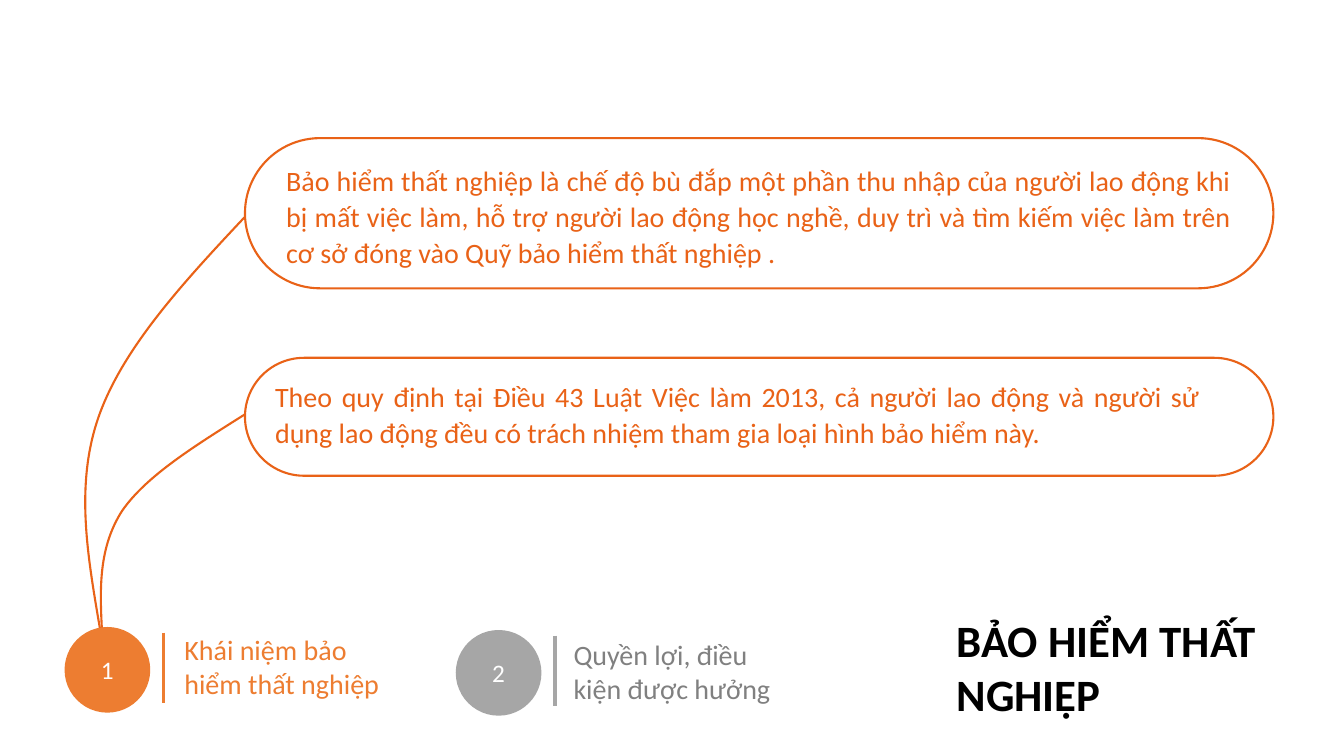
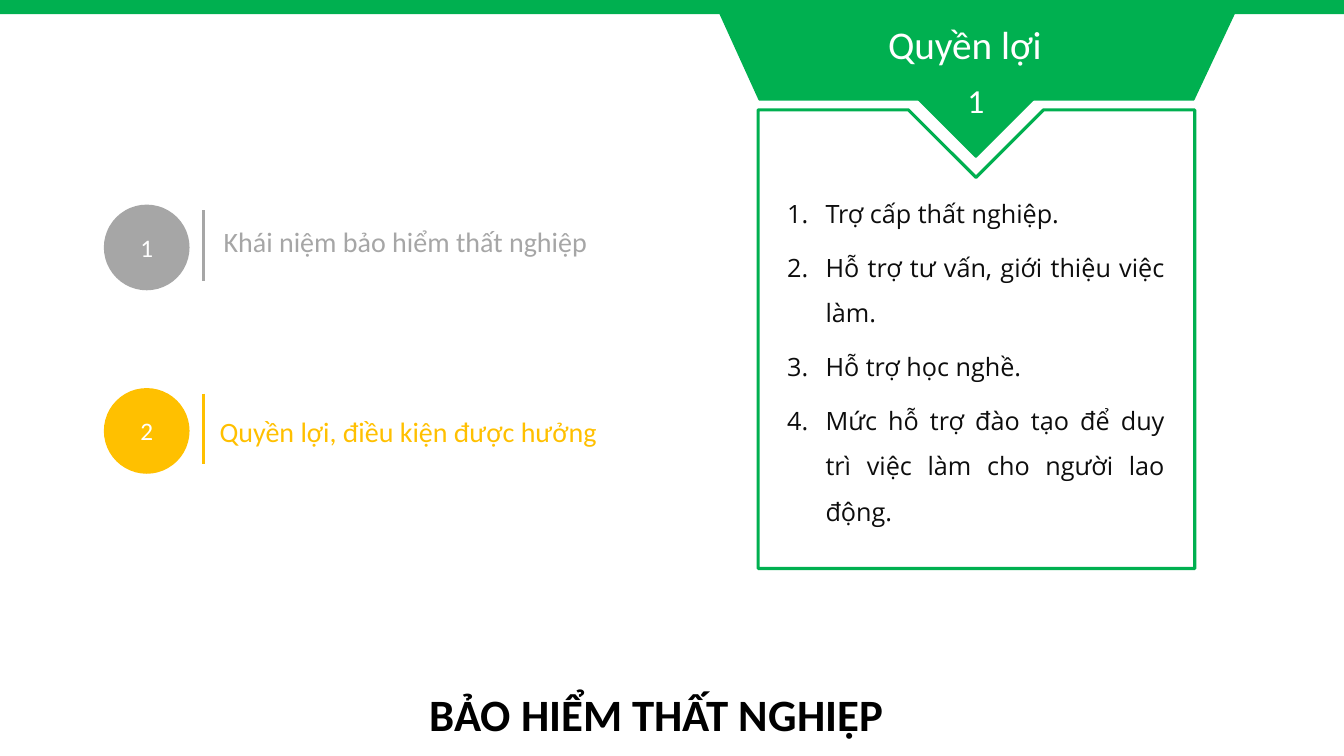
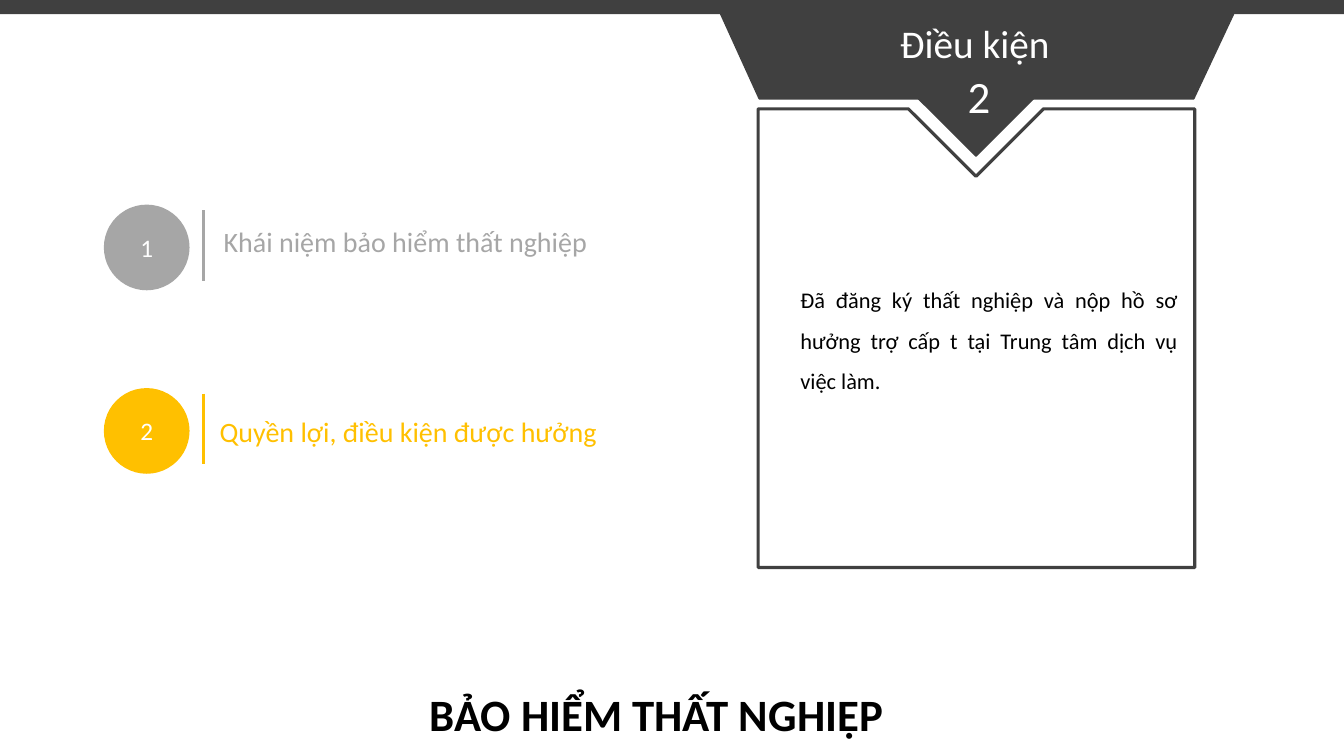
from pptx import Presentation
from pptx.dml.color import RGBColor
from pptx.enum.shapes import MSO_CONNECTOR, MSO_SHAPE
from pptx.enum.text import MSO_ANCHOR, MSO_AUTO_SIZE, PP_ALIGN
from pptx.oxml.ns import qn
from pptx.util import Inches, Pt
from lxml.etree import SubElement

WHITE = RGBColor(0xFF, 0xFF, 0xFF)
BLACK = RGBColor(0x00, 0x00, 0x00)
INK = RGBColor(0x0D, 0x0D, 0x0D)
GREY = RGBColor(0xA6, 0xA6, 0xA6)
LABEL_GREY = RGBColor(0x80, 0x80, 0x80)
CHARCOAL = RGBColor(0x40, 0x40, 0x40)
ORANGE = RGBColor(0xED, 0x7D, 0x31)
DEEP_ORANGE = RGBColor(0xE9, 0x62, 0x17)
GOLD = RGBColor(0xFF, 0xC0, 0x00)
GREEN = RGBColor(0x00, 0xB0, 0x50)

FONT = "Calibri"
LIST_FONT = "Open Sans"
SLIDE_WIDTH, SLIDE_HEIGHT = 13.33, 7.5
TOPIC = "BẢO HIỂM THẤT NGHIỆP"
CONCEPT = "Khái niệm bảo hiểm thất nghiệp"
BENEFITS = "Quyền lợi, điều kiện được hưởng"


def write(frame, text, size=20, color=BLACK, font=FONT, bold=False, align=PP_ALIGN.LEFT,
          spacing=None, after=None, numbered=False):
    """Fill a text frame, one paragraph for each line of the text."""
    frame.word_wrap = True
    for index, line in enumerate(text.split("\n")):
        paragraph = frame.add_paragraph() if index else frame.paragraphs[0]
        paragraph.alignment = align
        if spacing:
            paragraph.line_spacing = spacing
        if after:
            paragraph.space_after = Pt(after)
        if numbered:
            props = paragraph._p.get_or_add_pPr()
            props.set("marL", str(Inches(0.38)))
            props.set("indent", str(-Inches(0.38)))
            SubElement(props, qn("a:buFont"), typeface="+mj-lt")
            SubElement(props, qn("a:buAutoNum"), type="arabicPeriod")
        run = paragraph.add_run()
        run.text = line
        run.font.name = font
        run.font.size = Pt(size)
        run.font.bold = bold
        run.font.color.rgb = color


class Deck:
    """Holds the presentation, its shared style and the current slide."""

    def __init__(self):
        """Start an empty presentation."""
        self.show = Presentation()
        self.show.slide_width = Inches(SLIDE_WIDTH)
        self.show.slide_height = Inches(SLIDE_HEIGHT)

    def new_slide(self):
        """Add a blank slide and make it current."""
        self.shapes = self.show.slides.add_slide(self.show.slide_layouts[6]).shapes

    def paint(self, shape, fill, line, width):
        """Set fill and outline, without a shadow."""
        shape.shadow.inherit = False
        if fill is None:
            shape.fill.background()
        else:
            shape.fill.solid()
            shape.fill.fore_color.rgb = fill
        if line is None:
            shape.line.fill.background()
        else:
            shape.line.color.rgb = line
            shape.line.width = Pt(width)

    def text(self, box, text, **style):
        """Add a text box that grows with its text."""
        frame = self.shapes.add_textbox(*map(Inches, box)).text_frame
        write(frame, text, **style)
        frame.auto_size = MSO_AUTO_SIZE.SHAPE_TO_FIT_TEXT

    def shape(self, kind, box, fill, line=None, width=1, text="", **style):
        """Add a preset shape, with centred text if there is any."""
        shape = self.shapes.add_shape(kind, *map(Inches, box))
        self.paint(shape, fill, line, width)
        if text:
            shape.text_frame.vertical_anchor = MSO_ANCHOR.MIDDLE
            write(shape.text_frame, text, color=WHITE, align=PP_ALIGN.CENTER, **style)
        return shape

    def outline(self, points, fill=None, line=None, width=1, close=True):
        """Add a freeform through the points."""
        start, *rest = [(Inches(x), Inches(y)) for x, y in points]
        builder = self.shapes.build_freeform(*start)
        builder.add_line_segments(rest, close=close)
        freeform = builder.convert_to_shape()
        self.paint(freeform, fill, line, width)
        return freeform

    def curve(self, points):
        """Add a curve: a start, then two controls and an end for each stretch."""
        curve = self.outline(points, line=DEEP_ORANGE, width=1.5, close=False)
        segments = curve._element.xpath(".//a:lnTo")
        for first in range(0, len(segments), 3):
            bend, *others = segments[first:first + 3]
            bezier = SubElement(bend.getparent(), qn("a:cubicBezTo"))
            for segment in (bend, *others):
                bezier.append(segment[0])
                segment.getparent().remove(segment)

    def rule(self, x, top, color):
        """Add a short upright line."""
        rule = self.shapes.add_connector(MSO_CONNECTOR.STRAIGHT, *map(Inches, (x, top, x, top + 0.7)))
        rule.line.color.rgb = color
        rule.line.width = Pt(2.25)
        SubElement(rule._element.spPr, qn("a:effectLst"))

    def step(self, number, left, top, color, label, label_box, label_color=None):
        """Add a numbered circle, its rule and its label."""
        self.shape(MSO_SHAPE.OVAL, (left, top, 0.85, 0.85), color, text=number, size=18)
        self.rule(left + 0.985, top + 0.055, color)
        self.text(label_box, label, color=label_color or color)

    def title(self, box):
        """Add the topic title."""
        self.text(box, TOPIC, size=32, bold=True)

    def statement(self, box, text_box, text):
        """Add a rounded frame and its justified text."""
        frame = self.shape(MSO_SHAPE.ROUNDED_RECTANGLE, box, WHITE, DEEP_ORANGE, 1.5)
        frame.adjustments[0] = 0.5
        self.text(text_box, text, color=DEEP_ORANGE, align=PP_ALIGN.JUSTIFY, spacing=1.07, after=8)

    def detail_slide(self, heading, heading_box, number, number_size, color, top=0.0):
        """Add a slide with both steps, the title and a ribboned panel."""
        self.new_slide()
        ribbon = [(7.53, top + 0.99), (7.08, top), (12.3, top + 0.01), (11.84, top + 0.99)]
        self.outline(ribbon, color, color)
        self.shape(MSO_SHAPE.DIAMOND, (9.11, top + 0.42, 1.14, 1.14), color, color,
                   text=number, size=number_size)
        edge, bottom = top + 1.09, top + 5.64
        self.outline([(7.52, edge), (9.01, edge), (9.68, edge + 0.67), (10.35, edge),
                      (11.85, edge), (11.85, bottom), (7.52, bottom)], line=color, width=2.25)
        self.step("1", 1.03, 2.03, GREY, CONCEPT, (2.12, 2.18, 4.1, 0.44))
        self.step("2", 1.03, 3.85, GOLD, BENEFITS, (2.08, 4.06, 4.47, 0.44))
        self.title((4.16, 6.76, 5.01, 0.64))
        self.text(heading_box, heading, size=28, color=WHITE)
        self.shape(MSO_SHAPE.RECTANGLE, (0, 0, SLIDE_WIDTH, 0.14), color)


def concept_slide(deck):
    """Build the slide that defines the insurance."""
    deck.new_slide()
    deck.curve([(0.99, 6.23), (0.87, 5.52), (0.74, 4.81), (0.98, 4.13),
                (1.22, 3.45), (1.82, 2.8), (2.43, 2.15)])
    deck.curve([(1.01, 6.23), (0.99, 5.83), (0.98, 5.43), (1.21, 5.07),
                (1.45, 4.72), (1.94, 4.42), (2.43, 4.11)])
    deck.statement((2.43, 1.37, 10.2, 1.49), (2.74, 1.55, 9.57, 1.17),
                   "Bảo hiểm thất nghiệp là chế độ bù đắp một phần thu nhập của người lao động "
                   "khi bị mất việc làm, hỗ trợ người lao động học nghề, duy trì và tìm kiếm "
                   "việc làm trên cơ sở đóng vào Quỹ bảo hiểm thất nghiệp .")
    deck.statement((2.43, 3.55, 10.2, 1.17), (2.63, 3.69, 9.37, 0.81),
                   "Theo quy định tại Điều 43 Luật Việc làm 2013, cả người lao động và người sử "
                   "dụng lao động đều có trách nhiệm tham gia loại hình bảo hiểm này.")
    deck.step("1", 0.64, 6.22, ORANGE, CONCEPT, (1.73, 6.23, 2.42, 0.77))
    deck.step("2", 4.52, 6.25, GREY, BENEFITS, (5.59, 6.28, 2.43, 0.77), LABEL_GREY)
    deck.title((9.39, 6.03, 3.23, 1.18))


def benefits_slide(deck):
    """Build the slide that lists the benefits."""
    deck.detail_slide("Quyền lợi", (8.71, 0.15, 2.32, 0.57), "1", 24, GREEN)
    benefits = ["Trợ cấp thất nghiệp.", "Hỗ trợ tư vấn, giới thiệu việc làm.", "Hỗ trợ học nghề.",
                "Mức hỗ trợ đào tạo để duy trì việc làm cho người lao động."]
    deck.text((7.71, 1.77, 3.94, 3.49), "\n".join(benefits), size=18, color=INK, font=LIST_FONT,
              align=PP_ALIGN.JUSTIFY, spacing=1.5, after=6, numbered=True)


def conditions_slide(deck):
    """Build the slide that states the conditions."""
    deck.detail_slide("Điều kiện", (8.83, 0.14, 1.72, 0.57), "", 32, CHARCOAL, top=-0.01)
    deck.text((9.5, 0.63, 0.37, 0.64), "2", size=32, color=WHITE)
    deck.text((7.84, 2.66, 3.94, 1.75),
              "Đã đăng ký thất nghiệp và nộp hồ sơ hưởng trợ cấp t tại Trung tâm dịch vụ việc làm.",
              size=16, align=PP_ALIGN.JUSTIFY, spacing=1.5, after=6)


deck = Deck()
concept_slide(deck)
benefits_slide(deck)
conditions_slide(deck)
deck.show.save("out.pptx")
